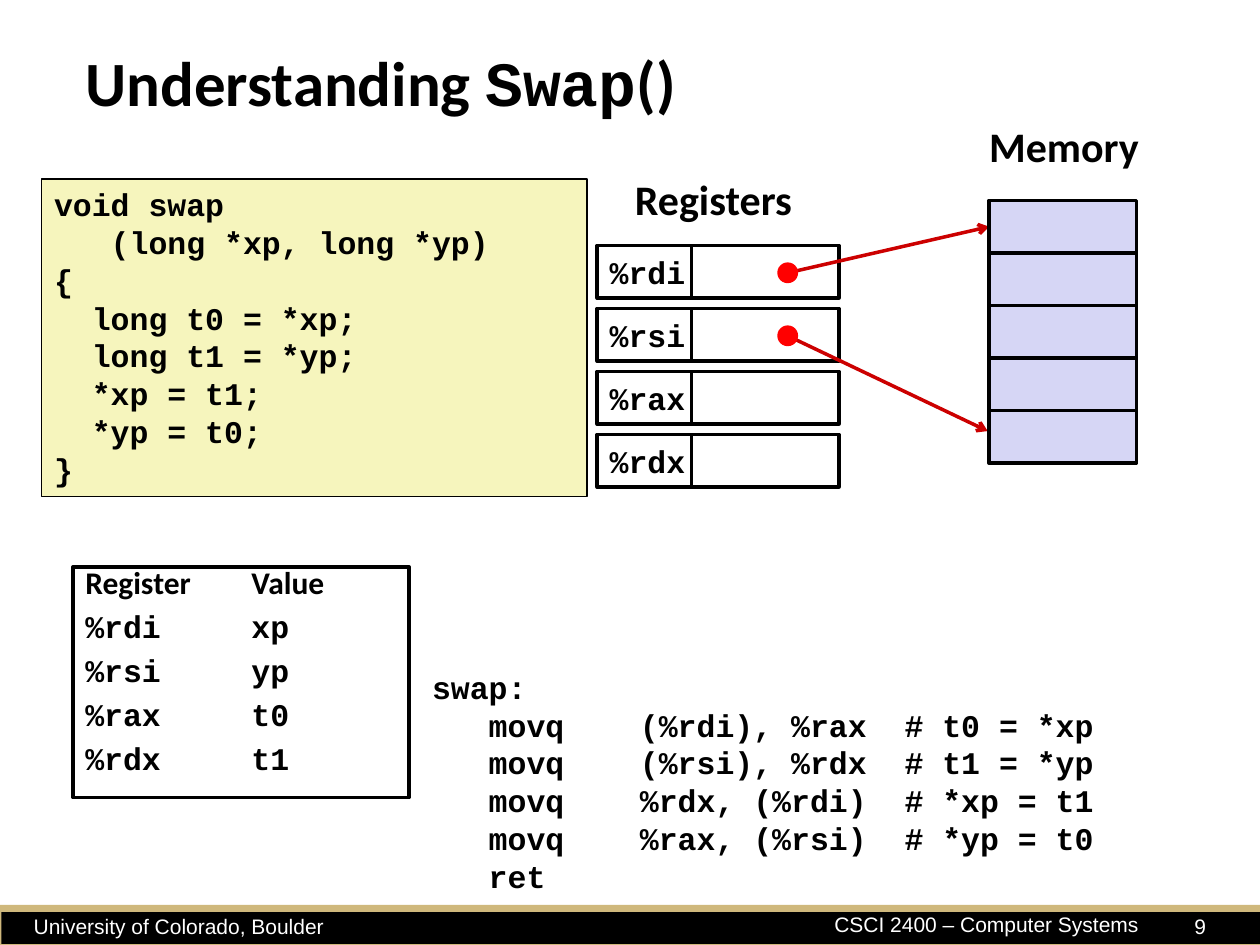
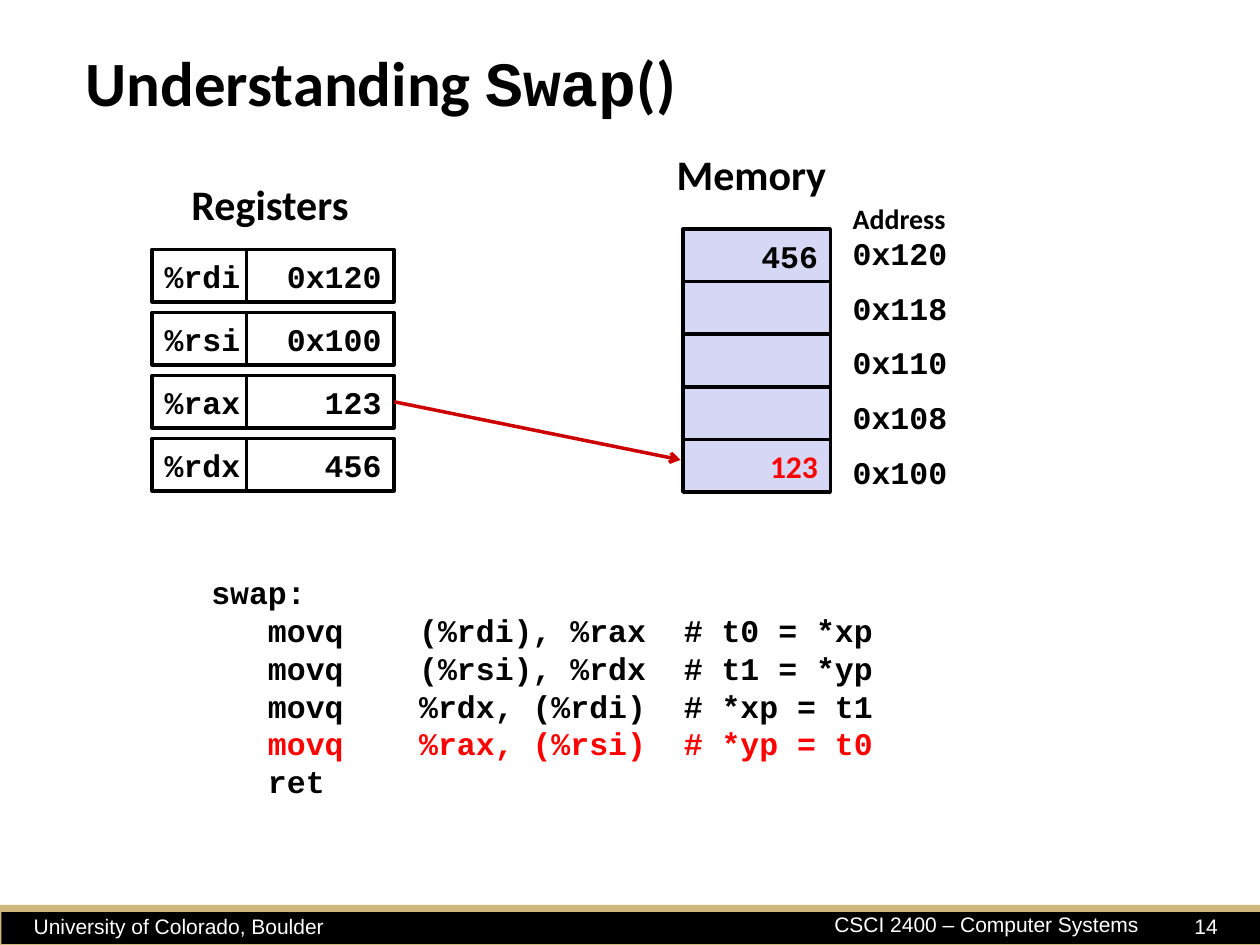
from lxml import etree
from pptx import Presentation
from pptx.dml.color import RGBColor
from pptx.enum.shapes import MSO_CONNECTOR, MSO_SHAPE
from pptx.enum.text import MSO_ANCHOR, MSO_AUTO_SIZE, PP_ALIGN
from pptx.oxml.ns import qn
from pptx.util import Cm, Pt

RECTANGLE, OVAL = MSO_SHAPE.RECTANGLE, MSO_SHAPE.OVAL
STRAIGHT = MSO_CONNECTOR.STRAIGHT
TOP, MIDDLE = MSO_ANCHOR.TOP, MSO_ANCHOR.MIDDLE
LEFT, CENTER, RIGHT = PP_ALIGN.LEFT, PP_ALIGN.CENTER, PP_ALIGN.RIGHT
NO_AUTO_SIZE = MSO_AUTO_SIZE.NONE

COLORS = {
    "black": "000000", "white": "FFFFFF", "gold": "CFB87C", "code": "F6F5BD",
    "memory": "D6D6F5", "arrow": "CC0000", "red": "FF0000",
}
SANS, MONO, FOOTER_FONT = "Calibri", "Courier New", "Arial"
CHAR_WIDTH = 0.381  # one 18 pt Courier New character, in cm
CELL_HEIGHT = 1.06
NAME_WIDTH, VALUE_WIDTH = 1.9, 2.97
REGISTER_STEP, ADDRESS_STEP = 1.27, 1.1

REGISTERS = ["%rdi", "%rsi", "%rax", "%rdx"]
ADDRESSES = ["0x120", "0x118", "0x110", "0x108", "0x100"]
SWAP_C = [
    (0, "void swap"),
    (3, "(long *xp, long *yp)"),
    (0, "{"),
    (2, "long t0 = *xp;"),
    (2, "long t1 = *yp;"),
    (2, "*xp = t1;"),
    (2, "*yp = t0;"),
    (0, "}"),
]
SWAP_ASSEMBLY = [
    "swap:",
    "\tmovq\t(%rdi), %rax\t# t0 = *xp",
    "\tmovq\t(%rsi), %rdx\t# t1 = *yp",
    "\tmovq\t%rdx, (%rdi)\t# *xp = t1",
    "\tmovq\t%rax, (%rsi)\t# *yp = t0",
    "\tret",
]
ASSEMBLY_COLUMNS = [3, 11, 25]


def color(name):
    return RGBColor.from_string(COLORS[name])


def set_tabs(para, stops):
    """Add tab stops just before the paragraph font, as the schema asks."""
    tab_list = etree.Element(qn("a:tabLst"))
    for stop in stops:
        etree.SubElement(tab_list, qn("a:tab"), pos=str(int(Cm(stop))), algn="l")
    para._p.get_or_add_pPr().find(qn("a:defRPr")).addprevious(tab_list)


class SwapDeck:
    """Holds the deck, its style and the page being drawn; lengths are in cm."""

    def __init__(self):
        self.deck = Presentation()
        self.deck.slide_width, self.deck.slide_height = Cm(25.4), Cm(19.05)
        self.page = None

    def start_page(self, number):
        self.page = self.deck.slides.add_slide(self.deck.slide_layouts[5])
        self.shape(0, 18.24, 25.4, 0.81, fill="gold")
        self.shape(0.03, 18.39, 25.37, 0.64, fill="black")
        footer = {"size": 12, "font": FOOTER_FONT, "ink": "white", "bold": False}
        self.text(0.43, 18.29, 6.4, 0.76, ["University of Colorado, Boulder"],
                  wrap=False, **footer)
        self.text(16.51, 18.26, 6.76, 0.76, ["CSCI 2400 – Computer Systems"],
                  align=CENTER, **footer)
        self.text(23.83, 18.29, 1.17, 0.76, [str(number)], **footer)
        self.title()

    def title(self):
        box = self.page.shapes.title
        box.left, box.top, box.width, box.height = Cm(1.47), Cm(0.84), Cm(17.7), Cm(1.6)
        box.text_frame.auto_size = NO_AUTO_SIZE
        box.text_frame.vertical_anchor = MIDDLE
        para = box.text_frame.paragraphs[0]
        para.alignment = LEFT
        para.font.size, para.font.bold = Pt(36), True
        para.font.color.rgb = color("black")
        for words, font in [("Understanding ", SANS), ("Swap", MONO), ("()", SANS)]:
            span = para.add_run()
            span.text, span.font.name = words, font

    def shape(self, left, top, width, height, fill=None, line=0, kind=RECTANGLE):
        """Draw a preset shape; no fill name means hollow, line 0 means no outline."""
        box = self.page.shapes.add_shape(kind, Cm(left), Cm(top), Cm(width), Cm(height))
        box.shadow.inherit = False
        if fill:
            box.fill.solid()
            box.fill.fore_color.rgb = color(fill)
        else:
            box.fill.background()
        if line:
            box.line.color.rgb = color("black")
            box.line.width = Pt(line)
        else:
            box.line.fill.background()
        return box

    def fill_text(self, box, lines, size=18, font=MONO, ink="black", bold=True,
                  align=LEFT, anchor=TOP, wrap=True):
        """Put one paragraph per line into the box and return the paragraphs."""
        frame = box.text_frame
        frame.word_wrap, frame.vertical_anchor = wrap, anchor
        for index, line in enumerate(lines):
            para = frame.add_paragraph() if index else frame.paragraphs[0]
            para.text, para.alignment = line, align
            para.font.size, para.font.name, para.font.bold = Pt(size), font, bold
            para.font.color.rgb = color(ink)
        return frame.paragraphs

    def text(self, left, top, width, height, lines, **style):
        box = self.page.shapes.add_textbox(Cm(left), Cm(top), Cm(width), Cm(height))
        return self.fill_text(box, lines, **style)

    def heading(self, left, top, width, words):
        self.text(left, top, width, 1.27, [words], size=24, font=SANS, wrap=False)

    def cell(self, left, top, width, words="", fill="white", **style):
        box = self.shape(left, top, width, CELL_HEIGHT, fill, 2)
        if words:
            self.fill_text(box, [words], anchor=MIDDLE, wrap=False, **style)

    def registers(self, left, top, values):
        for row, (name, value) in enumerate(zip(REGISTERS, values)):
            y = top + row * REGISTER_STEP
            self.cell(left, y, NAME_WIDTH, name)
            self.cell(left + NAME_WIDTH, y, VALUE_WIDTH, value, align=RIGHT)

    def memory(self, left, top, contents):
        """Stack memory cells; contents maps a row to its text and text style."""
        for row in range(len(ADDRESSES)):
            words, style = contents.get(row, ("", {}))
            self.cell(left, top + row * CELL_HEIGHT, VALUE_WIDTH, words, "memory",
                      align=RIGHT, **style)

    def addresses(self, left, top):
        self.text(left, top - 0.66, 3.38, 0.94, ["Address"], size=16, font=SANS)
        for row, address in enumerate(ADDRESSES):
            self.text(left, top + row * ADDRESS_STEP, 3.38, 1.02, [address])

    def arrow(self, x1, y1, x2, y2):
        line = self.page.shapes.add_connector(STRAIGHT, Cm(x1), Cm(y1), Cm(x2), Cm(y2))
        line.line.color.rgb = color("arrow")
        line.line.width = Pt(2)
        properties = line._element.spPr
        etree.SubElement(properties.find(qn("a:ln")), qn("a:tailEnd"), type="arrow")
        etree.SubElement(properties, qn("a:effectLst"))

    def pointer_dot(self, x, y, size=0.42):
        self.shape(x - size / 2, y - size / 2, size, size, "red", kind=OVAL)

    def c_code(self, left, top):
        box = self.shape(left, top, 11, 6.4, "code", 1)
        paras = self.fill_text(box, [line for _, line in SWAP_C])
        for para, (indent, _) in zip(paras, SWAP_C):
            para._p.get_or_add_pPr().set("marL", str(int(Cm(indent * CHAR_WIDTH))))

    def assembly(self, left, top, highlight=None):
        paras = self.text(left, top, 16.3, 4.88, SWAP_ASSEMBLY)
        for index, para in enumerate(paras):
            if index == highlight:
                para.font.color.rgb = color("red")
            set_tabs(para, [column * CHAR_WIDTH for column in ASSEMBLY_COLUMNS])

    def register_key(self, left, top):
        variables = ["xp", "yp", "t0", "t1"]
        lines = ["Register\tValue"]
        lines += [f"{name}\t{value}" for name, value in zip(REGISTERS, variables)]
        paras = self.fill_text(self.shape(left, top, 6.78, 4.65, line=2), lines)
        paras[0].font.name = SANS
        for para in paras:
            para.line_spacing, para.space_before = 0.7, Pt(10)
            set_tabs(para, [3.35])


def draw_start(swap):
    swap.start_page(9)
    swap.registers(12.04, 4.95, [""] * len(REGISTERS))
    swap.c_code(0.84, 3.61)
    swap.heading(19.69, 2.31, 3.56, "Memory")
    swap.register_key(1.47, 11.43)
    swap.assembly(8.46, 13.34)
    swap.heading(12.55, 3.38, 3.76, "Registers")
    pointers = [(5.5, 19.94, 4.57), (6.77, 19.91, 8.69)]
    for y, end_x, end_y in pointers:
        swap.arrow(15.88, y, end_x, end_y)
        swap.pointer_dot(15.88, y)
    swap.memory(19.94, 4.04, {})


def draw_last_store(swap):
    swap.start_page(14)
    swap.memory(13.77, 4.62, {0: ("456", {}), 4: ("123", {"font": SANS, "ink": "red"})})
    swap.registers(3.07, 5.03, ["0x120", "0x100", "123", "456"])
    swap.heading(3.61, 3.48, 3.76, "Registers")
    swap.heading(13.39, 2.87, 3.56, "Memory")
    swap.arrow(7.95, 8.1, 13.72, 9.27)
    swap.assembly(4.01, 11.43, highlight=4)
    swap.addresses(16.94, 4.6)


def main():
    swap = SwapDeck()
    draw_start(swap)
    draw_last_store(swap)
    swap.deck.save("out.pptx")


if __name__ == "__main__":
    main()
